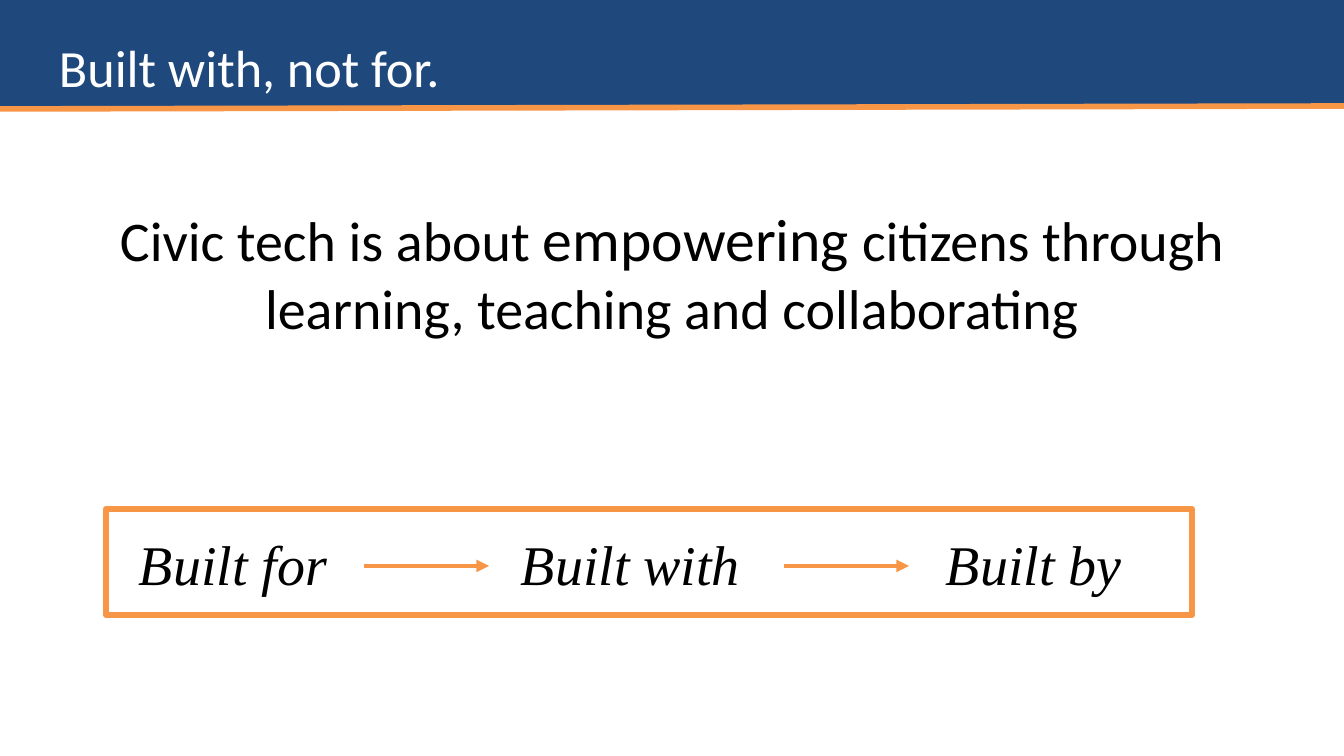
from lxml import etree
from pptx import Presentation, util as u
from pptx.dml.color import RGBColor
from pptx.enum import shapes, text
from pptx.oxml.ns import qn

# Content
TITLE = "Built with, not for."
MESSAGE = [
    ("Civic tech is about ", 30),
    ("empowering", 32),
    (" citizens through learning, teaching and collaborating", 30),
]
STAGES = [("Built for", 126), ("Built with", 508), ("Built by", 933)]
ARROW_STARTS = [364, 784]

# Look
COLORS = {"navy": "1F497D", "orange": "F79646", "white": "FFFFFF", "black": "000000"}
TITLE_FONT = {"name": "Calibri", "color": "white"}
MESSAGE_FONT = {"name": "Calibri", "color": "black"}
STAGE_FONT = {"name": "Times New Roman", "color": "black", "italic": True}
ARROW_LENGTH, ARROW_Y = 125, 566
PX = 914400 / 134.4


def px(*lengths):
    return [u.Emu(round(length * PX)) for length in lengths]


def rgb(name):
    return RGBColor.from_string(COLORS[name])


def add_text(page, place, spans, font, align=text.PP_ALIGN.LEFT, inset=13):
    box = page.shapes.add_textbox(*px(*place))
    frame = box.text_frame
    layout = {"word_wrap": True, "vertical_anchor": text.MSO_ANCHOR.TOP}
    for side in ("left", "right", "top", "bottom"):
        layout["margin_" + side] = px(inset)[0]
    for name, value in layout.items():
        setattr(frame, name, value)
    para = frame.paragraphs[0]
    para.alignment = align
    for words, size in spans:
        span = para.add_run()
        span.text = words
        span.font.size = u.Pt(size)
        span.font.color.rgb = rgb(font["color"])
        for name, value in font.items():
            if name != "color":
                setattr(span.font, name, value)


def add_line(page, ends, width, arrow=False):
    line = page.shapes.add_connector(shapes.MSO_CONNECTOR.STRAIGHT, *px(*ends))
    line.line.color.rgb = rgb("orange")
    line.line.width = u.Pt(width)
    if arrow:
        etree.SubElement(line.line._get_or_add_ln(), qn("a:tailEnd"), type="triangle")
    etree.SubElement(line._element.spPr, qn("a:effectLst"))


def add_rectangle(page, place, fill=None, outline=None):
    box = page.shapes.add_shape(shapes.MSO_SHAPE.RECTANGLE, *px(*place))
    box.shadow.inherit = False
    if fill:
        box.fill.solid()
        box.fill.fore_color.rgb = rgb(fill)
    else:
        box.fill.background()
    if outline:
        box.line.color.rgb = rgb(outline)
        box.line.width = u.Pt(3)
        etree.SubElement(box.line._get_or_add_ln(), qn("a:round"))
    else:
        box.line.fill.background()


def main():
    deck = Presentation()
    deck.slide_width, deck.slide_height = px(1344, 756)
    page = deck.slides.add_slide(deck.slide_layouts[6])

    # Title band
    add_rectangle(page, (0, 0, 1344, 106), fill="navy")
    add_line(page, (-3, 109, 1344, 106), 3)
    add_text(page, (46, 22, 1252, 85), [(TITLE, 28)], TITLE_FONT)

    # Message
    add_text(page, (46, 189, 1252, 170), MESSAGE, MESSAGE_FONT, text.PP_ALIGN.CENTER)

    # Stages joined by arrows in a frame
    for label, left in STAGES:
        add_text(page, (left, 517, 329, 87), [(label, 30)], STAGE_FONT)
    for start in ARROW_STARTS:
        add_line(page, (start, ARROW_Y, start + ARROW_LENGTH, ARROW_Y), 2.25, arrow=True)
    add_rectangle(page, (106, 509, 1086, 106), outline="orange")

    deck.save("out.pptx")


if __name__ == "__main__":
    main()
